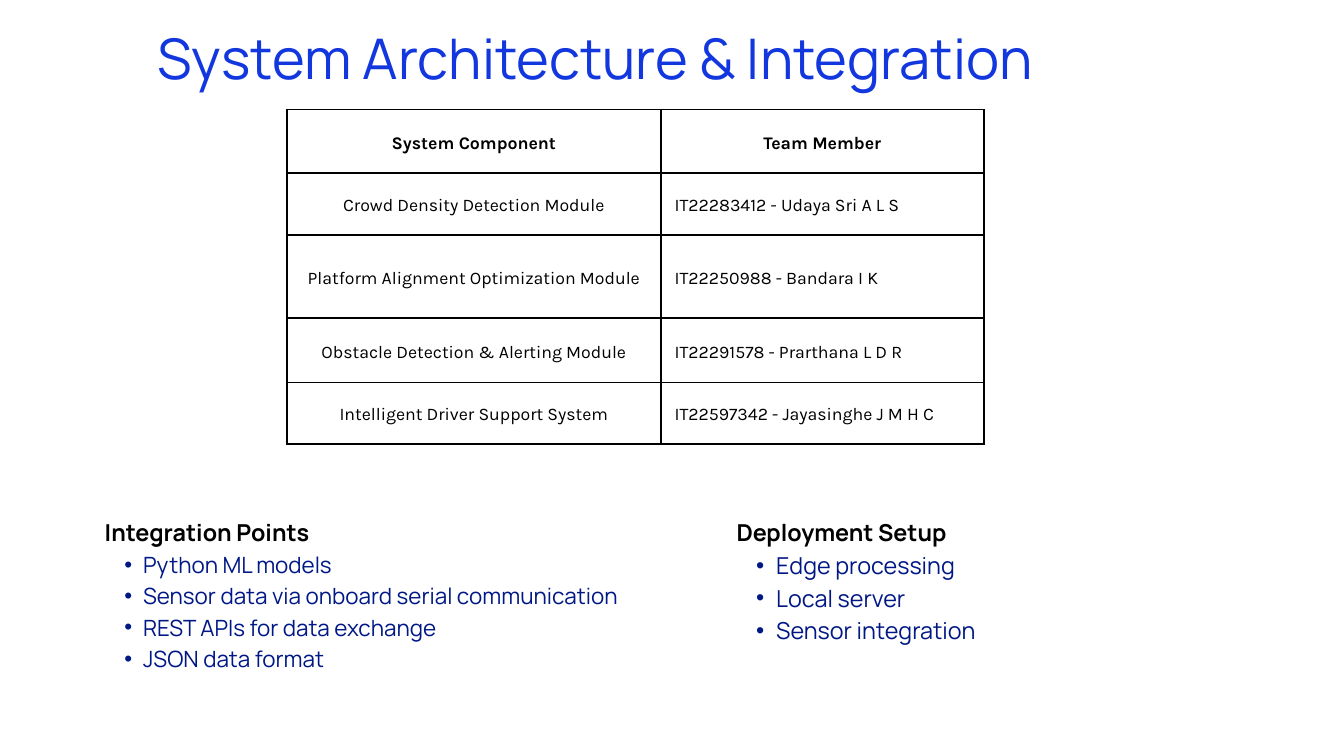
from lxml import etree
from pptx import Presentation
from pptx.dml.color import RGBColor
from pptx.enum.text import MSO_ANCHOR, MSO_AUTO_SIZE, PP_ALIGN
from pptx.oxml.ns import qn
from pptx.util import Cm, Pt

LEFT, CENTER, JUSTIFY = PP_ALIGN.LEFT, PP_ALIGN.CENTER, PP_ALIGN.JUSTIFY
MIDDLE, TOP = MSO_ANCHOR.MIDDLE, MSO_ANCHOR.TOP
COLORS = {"title": "1337DF", "text": "000000", "bullet": "001886"}

TITLE = "System Architecture & Integration"
MODULES = [
    ("System Component", "Team Member"),
    ("Crowd Density Detection Module", "IT22283412 - Udaya Sri A L S"),
    ("Platform Alignment Optimization Module", "IT22250988 - Bandara I K"),
    ("Obstacle Detection & Alerting Module", "IT22291578 - Prarthana L D R"),
    ("Intelligent Driver Support System", "IT22597342 - Jayasinghe J M H C"),
]
COLUMN_WIDTHS = (14.12, 12.22)
ROW_HEIGHTS = (2.39, 2.34, 3.15, 2.44, 2.31)
LISTS = [
    {
        "heading": "Integration Points",
        "items": [
            "Python ML models",
            "Sensor data via onboard serial communication",
            "REST APIs for data exchange",
            "JSON data format",
        ],
        "box": (3.96, 19.43, 22.43, 5.89),
        "size": 24, "spacing": 33.6, "indent": 1.45, "hanging": 0.71,
    },
    {
        "heading": "Deployment Setup",
        "items": ["Edge processing", "Local server", "Sensor integration"],
        "box": (27.84, 19.43, 18.11, 4.88),
        "size": 25, "spacing": 35, "indent": 1.5, "hanging": 0.76,
    },
]


def format_paragraph(paragraph, text, size, spacing, color, align,
                     font="Manrope", bold=False):
    paragraph.text = text
    paragraph.alignment = align
    paragraph.line_spacing = Pt(spacing)
    values = {"name": font, "size": Pt(size), "bold": bold}
    run_font = paragraph.runs[0].font
    for name, value in values.items():
        setattr(run_font, name, value)
    run_font.color.rgb = RGBColor.from_string(COLORS[color])


def prepare_frame(frame):
    values = {
        "margin_left": 0, "margin_right": 0, "margin_top": 0, "margin_bottom": 0,
        "word_wrap": True, "auto_size": MSO_AUTO_SIZE.NONE, "vertical_anchor": TOP,
    }
    for name, value in values.items():
        setattr(frame, name, value)


def add_bullet(paragraph, indent, hanging):
    paragraph.level = 1
    properties = paragraph._p.get_or_add_pPr()
    properties.set("marL", str(Cm(indent)))
    properties.set("indent", str(-Cm(hanging)))
    etree.SubElement(properties, qn("a:buFont"), typeface="Arial")
    etree.SubElement(properties, qn("a:buChar"), char="•")


def add_borders(cell, width=2.25):
    properties = cell._tc.get_or_add_tcPr()
    for position, side in enumerate(("lnL", "lnR", "lnT", "lnB")):
        line = etree.Element(qn(f"a:{side}"), w=str(Pt(width)))
        fill = etree.SubElement(line, qn("a:solidFill"))
        etree.SubElement(fill, qn("a:srgbClr"), val=COLORS["text"])
        properties.insert(position, line)


def add_title(slide):
    title = slide.shapes.title
    title.left, title.top, title.width, title.height = map(Cm, (5.97, 0.46, 38.84, 3.05))
    prepare_frame(title.text_frame)
    format_paragraph(title.text_frame.paragraphs[0], TITLE, 60, 84, "title", LEFT)


def add_module_table(slide):
    table = slide.shapes.add_table(
        len(MODULES), len(COLUMN_WIDTHS), Cm(10.85), Cm(4.14),
        Cm(sum(COLUMN_WIDTHS)), Cm(sum(ROW_HEIGHTS))).table
    for column, width in zip(table.columns, COLUMN_WIDTHS):
        column.width = Cm(width)
    for row, height in zip(table.rows, ROW_HEIGHTS):
        row.height = Cm(height)
    for r, module in enumerate(MODULES):
        for c, text in enumerate(module):
            cell = table.cell(r, c)
            cell.fill.background()
            cell.vertical_anchor = MIDDLE
            for side in ("left", "right", "top", "bottom"):
                setattr(cell, f"margin_{side}", Cm(0.53))
            add_borders(cell)
            is_header = r == 0
            align = CENTER if is_header or c == 0 else LEFT
            format_paragraph(cell.text_frame.paragraphs[0], text, 19, 26.6, "text",
                             align, "Karla", is_header)


def add_list(slide, content):
    frame = slide.shapes.add_textbox(*map(Cm, content["box"])).text_frame
    prepare_frame(frame)
    format_paragraph(frame.paragraphs[0], content["heading"], 25, 35, "text",
                     JUSTIFY, bold=True)
    for item in content["items"]:
        paragraph = frame.add_paragraph()
        add_bullet(paragraph, content["indent"], content["hanging"])
        format_paragraph(paragraph, item, content["size"], content["spacing"],
                         "bullet", JUSTIFY)


def main():
    presentation = Presentation()
    presentation.slide_width, presentation.slide_height = Cm(50.8), Cm(28.58)
    slide = presentation.slides.add_slide(presentation.slide_layouts[5])
    add_title(slide)
    add_module_table(slide)
    for content in LISTS:
        add_list(slide, content)
    presentation.save("out.pptx")


if __name__ == "__main__":
    main()
